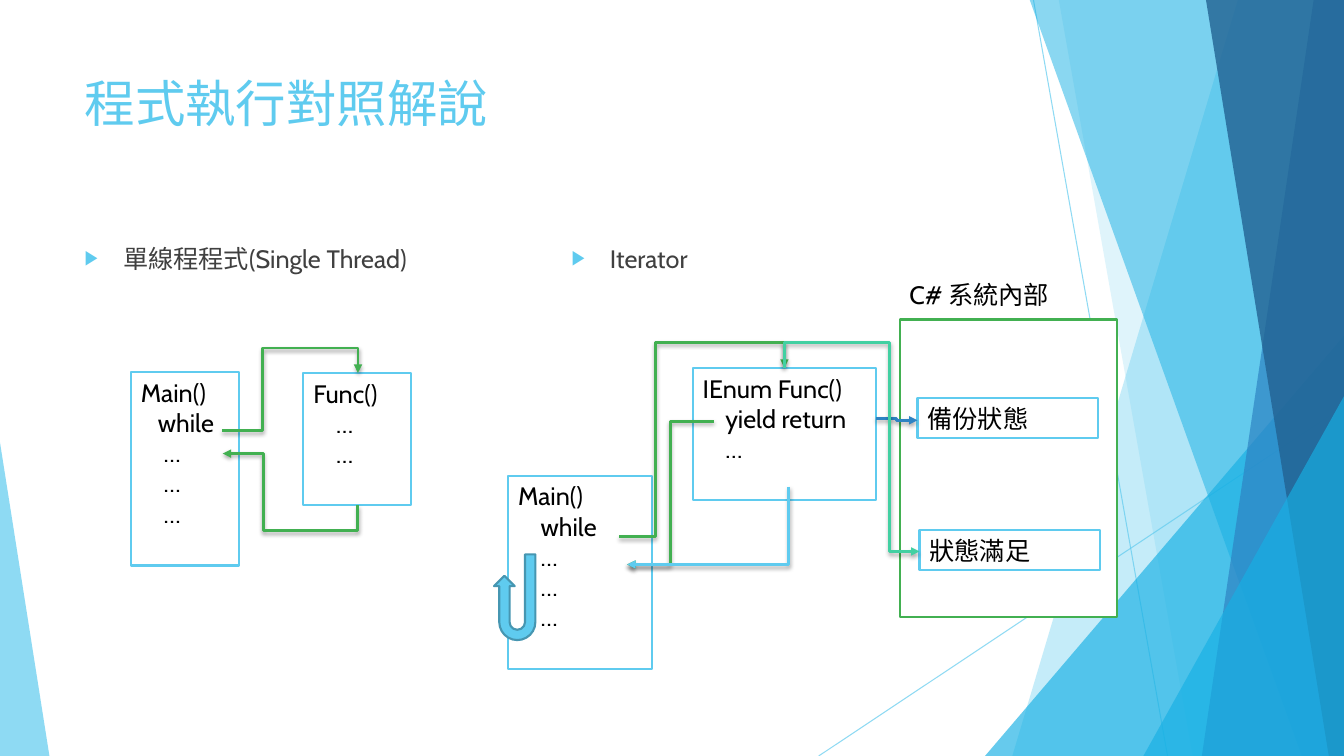
"""Build a slide that compares single-threaded calls with an iterator in C#."""
import math
from dataclasses import dataclass
from typing import Any, Optional

import lxml.etree
import pptx
import pptx.dml.color
import pptx.enum.shapes
import pptx.enum.text
import pptx.oxml.ns
import pptx.shapes.connector
import pptx.slide
import pptx.text.text
import pptx.util

SHAPES = pptx.enum.shapes.MSO_SHAPE
CONNECTORS = pptx.enum.shapes.MSO_CONNECTOR
Point = tuple[int, int]
Frame = tuple[int, int, int, int]


@dataclass(frozen=True)
class Theme:
    """Colours, type sizes and line widths of the slide."""
    font: str = "Cabin"
    title_size: int = 36
    text_size: int = 18
    hairline: float = 0.75
    outline: float = 1.5
    arrow: float = 2
    sky: str = "5FCBEF"
    cyan: str = "17B0E4"
    blue: str = "2E83C3"
    navy: str = "226292"
    rim: str = "4696B1"
    green: str = "42B051"
    mint: str = "42D0A2"
    grey: str = "404040"
    black: str = "000000"
    white: str = "FFFFFF"


THEME = Theme()


@dataclass(frozen=True)
class Ray:
    """A thin translucent background line."""
    begin: Point
    end: Point


@dataclass(frozen=True)
class Facet:
    """A translucent background polygon."""
    points: tuple[Point, ...]
    colour: str
    alpha: int


@dataclass(frozen=True)
class Wedge:
    """A translucent background triangle with its apex at a share of the width."""
    frame: Frame
    apex: int
    colour: str
    alpha: int


@dataclass(frozen=True)
class Box:
    """An outlined or plain box with lines of text."""
    frame: Frame
    lines: tuple[str, ...] = ()
    outline: Optional[str] = THEME.sky


@dataclass(frozen=True)
class Elbow:
    """A bent arrow; rotation and adjustments set its route."""
    begin: Point
    end: Point
    colour: str
    bends: int
    rotation: int = 0
    adjustments: tuple[int, ...] = ()


RAYS = (Ray((1025, 0), (1158, 750)), Ray((1333, 403), (812, 750)))
BACKDROP = (
    Facet(((1228, -1), (1333, -1), (1333, 750), (1004, 750)), THEME.sky, 36),
    Facet(((1050, -1), (1333, -1), (1333, 750), (1183, 750)), THEME.sky, 20),
    Wedge((977, 333, 356, 417), 1, THEME.cyan, 66),
    Facet(((1021, -1), (1333, -1), (1333, 750), (1291, 750)), THEME.cyan, 50),
    Facet(((1303, -1), (1333, -1), (1333, 750), (1192, 750)), THEME.blue, 70),
    Facet(((1196, -1), (1333, -1), (1333, 750), (1318, 750)), THEME.navy, 80),
    Wedge((1134, 393, 199, 357), 1, THEME.cyan, 66),
    Wedge((0, 439, 49, 311), 0, THEME.sky, 70),
)
TITLE = Box((74, 67, 940, 144), ("程式執行對照解說",))
TOPICS = (
    Box((74, 236, 458, 51), ("單線程程式(Single Thread)",)),
    Box((557, 236, 458, 48), ("Iterator",)),
)
STEP = "    …"
BOXES = (
    Box((893, 317, 215, 295), outline=THEME.green),
    Box((301, 370, 107, 131), ("Func()", STEP, STEP)),
    Box((130, 369, 107, 192), ("Main()", "   while", STEP, STEP, STEP)),
    Box((687, 365, 182, 131), ("IEnum Func()", "    yield return", STEP)),
    Box((504, 472, 143, 192), ("Main()", "    while", STEP, STEP, STEP)),
    Box((910, 395, 179, 40), ("備份狀態",)),
    Box((912, 526, 179, 40), ("狀態滿足",)),
    Box((892, 272, 179, 40), ("C# 系統內部",), None),
)
LOOP_ARROW: Frame = (490, 550, 41, 85)
ELBOWS = (
    Elbow((220, 427), (355, 370), THEME.green, 4, 0, (30200, 143500)),
    Elbow((355, 501), (221, 450), THEME.green, 4, 90, (-49200, 70000)),
    Elbow((614, 532), (778, 365), THEME.green, 4, 0, (22200, 114900)),
    Elbow((708, 418), (622, 560), THEME.green, 3, 180, (50000,)),
    Elbow((869, 415), (910, 417), THEME.blue, 3),
    Elbow((778, 365), (912, 547), THEME.mint, 4, 270, (-13700, 77900)),
    Elbow((782, 483), (622, 560), THEME.sky, 2, 90),
)


def px(length: float) -> pptx.util.Emu:
    """Turn px into EMU, at 100 px to the inch."""
    return pptx.util.Emu(round(length * 9144))


def rgb(colour: str) -> pptx.dml.color.RGBColor:
    """Read a hex colour."""
    return pptx.dml.color.RGBColor.from_string(colour)


def add_node(parent: Any, tag: str, **attributes: Any) -> Any:
    """Append a child element with its attributes."""
    values = {name: str(value) for name, value in attributes.items()}
    return lxml.etree.SubElement(parent, pptx.oxml.ns.qn(tag), values)


def paint(fill: Any, colour: str, alpha: int = 100) -> None:
    """Make a fill solid, with its opacity in percent."""
    fill.solid()
    fill.fore_color.rgb = rgb(colour)
    if alpha < 100:
        solid = fill._xPr.find(pptx.oxml.ns.qn("a:solidFill"))
        add_node(solid[0], "a:alpha", val=alpha * 1000)


def write(frame: pptx.text.text.TextFrame, lines: tuple[str, ...], colour: str, size: int) -> None:
    """Write left-aligned lines from the top of a text frame."""
    frame.text = "\n".join(lines)
    frame.word_wrap = True
    frame.auto_size = pptx.enum.text.MSO_AUTO_SIZE.NONE
    frame.vertical_anchor = pptx.enum.text.MSO_ANCHOR.TOP
    for paragraph in frame.paragraphs:
        paragraph.alignment = pptx.enum.text.PP_ALIGN.LEFT
        paragraph.space_before = pptx.util.Pt(0)
        for run in paragraph.runs:
            run.font.name = THEME.font
            run.font.size = pptx.util.Pt(size)
            run.font.color.rgb = rgb(colour)


def fill_placeholder(shape: Any, box: Box, colour: str, size: int) -> None:
    """Move a placeholder and write its text."""
    shape.left, shape.top, shape.width, shape.height = map(px, box.frame)
    write(shape.text_frame, box.lines, colour, size)


def add_bullet(paragraph: Any) -> None:
    """Give a paragraph a hanging triangle bullet."""
    properties = paragraph._p.get_or_add_pPr()
    properties.set("marL", str(px(38)))
    properties.set("indent", str(px(-38)))
    add_node(add_node(properties, "a:buClr"), "a:srgbClr", val=THEME.sky)
    add_node(properties, "a:buSzPct", val=80000)
    add_node(properties, "a:buFont", typeface="Arial")
    add_node(properties, "a:buChar", char="▶")


def add_line(slide: pptx.slide.Slide, kind: Any, begin: tuple[float, float], end: tuple[float, float],
             colour: str, width: float, alpha: int = 100) -> tuple[pptx.shapes.connector.Connector, Any]:
    """Draw a connector and return it with its empty effect list."""
    connector = slide.shapes.add_connector(kind, *map(px, begin + end))
    paint(connector.line.fill, colour, alpha)
    connector.line.width = pptx.util.Pt(width)
    return connector, add_node(connector.element.spPr, "a:effectLst")


def add_backdrop(slide: pptx.slide.Slide, part: Facet | Wedge) -> None:
    """Draw one background polygon or triangle."""
    if isinstance(part, Facet):
        builder = slide.shapes.build_freeform(*part.points[0], scale=px(1))
        builder.add_line_segments(part.points[1:])
        shape = builder.convert_to_shape()
    else:
        shape = slide.shapes.add_shape(SHAPES.ISOSCELES_TRIANGLE, *map(px, part.frame))
        shape.adjustments[0] = part.apex
    paint(shape.fill, part.colour, part.alpha)
    shape.line.fill.background()
    shape.shadow.inherit = False


def add_outlined(slide: pptx.slide.Slide, kind: Any, frame: Frame, fill: str, outline: str) -> Any:
    """Draw a filled shape with an outline."""
    shape = slide.shapes.add_shape(kind, *map(px, frame))
    shape.shadow.inherit = False
    paint(shape.fill, fill)
    paint(shape.line.fill, outline)
    shape.line.width = pptx.util.Pt(THEME.outline)
    return shape


def add_box(slide: pptx.slide.Slide, box: Box) -> None:
    """Draw one box with its text."""
    if box.outline:
        shape = add_outlined(slide, SHAPES.RECTANGLE, box.frame, THEME.white, box.outline)
    else:
        shape = slide.shapes.add_textbox(*map(px, box.frame))
    if box.lines:
        write(shape.text_frame, box.lines, THEME.black, THEME.text_size)


def add_elbow(slide: pptx.slide.Slide, elbow: Elbow) -> None:
    """Draw one bent arrow, turning its ends back about their middle first."""
    middle_x, middle_y = ((a + b) / 2 for a, b in zip(elbow.begin, elbow.end))
    cosine = round(math.cos(math.radians(elbow.rotation)))
    sine = round(math.sin(math.radians(elbow.rotation)))
    begin, end = (
        (middle_x + (x - middle_x) * cosine + (y - middle_y) * sine,
         middle_y - (x - middle_x) * sine + (y - middle_y) * cosine)
        for x, y in (elbow.begin, elbow.end))
    connector, effects = add_line(slide, CONNECTORS.ELBOW, begin, end, elbow.colour, THEME.arrow)
    properties = connector.element.spPr
    if elbow.rotation:
        properties.find(pptx.oxml.ns.qn("a:xfrm")).set("rot", str(elbow.rotation * 60000))
    geometry = properties.find(pptx.oxml.ns.qn("a:prstGeom"))
    geometry.set("prst", f"bentConnector{elbow.bends}")
    for number, value in enumerate(elbow.adjustments, 1):
        add_node(geometry[0], "a:gd", name=f"adj{number}" if elbow.bends > 2 else "adj", fmla=f"val {value}")
    add_node(properties.find(pptx.oxml.ns.qn("a:ln")), "a:tailEnd", type="triangle")
    shadow = add_node(effects, "a:outerShdw", blurRad=pptx.util.Pt(3), dist=pptx.util.Pt(2), dir=5400000)
    add_node(add_node(shadow, "a:srgbClr", val=THEME.black), "a:alpha", val=35000)


def main() -> None:
    """Build and save the presentation."""
    presentation = pptx.Presentation()
    presentation.slide_width, presentation.slide_height = px(1333), px(750)
    slide = presentation.slides.add_slide(presentation.slide_layouts.get_by_name("Two Content"))
    title, *bodies = slide.placeholders
    fill_placeholder(title, TITLE, THEME.sky, THEME.title_size)
    for body, topic in zip(bodies, TOPICS):
        fill_placeholder(body, topic, THEME.grey, THEME.text_size)
        add_bullet(body.text_frame.paragraphs[0])
    for ray in RAYS:
        add_line(slide, CONNECTORS.STRAIGHT, ray.begin, ray.end, THEME.sky, THEME.hairline, 70)
    for part in BACKDROP:
        add_backdrop(slide, part)
    for box in BOXES:
        add_box(slide, box)
    loop = add_outlined(slide, SHAPES.U_TURN_ARROW, LOOP_ARROW, THEME.sky, THEME.rim)
    loop.rotation = 180
    for elbow in ELBOWS:
        add_elbow(slide, elbow)
    presentation.save("out.pptx")


if __name__ == "__main__":
    main()
